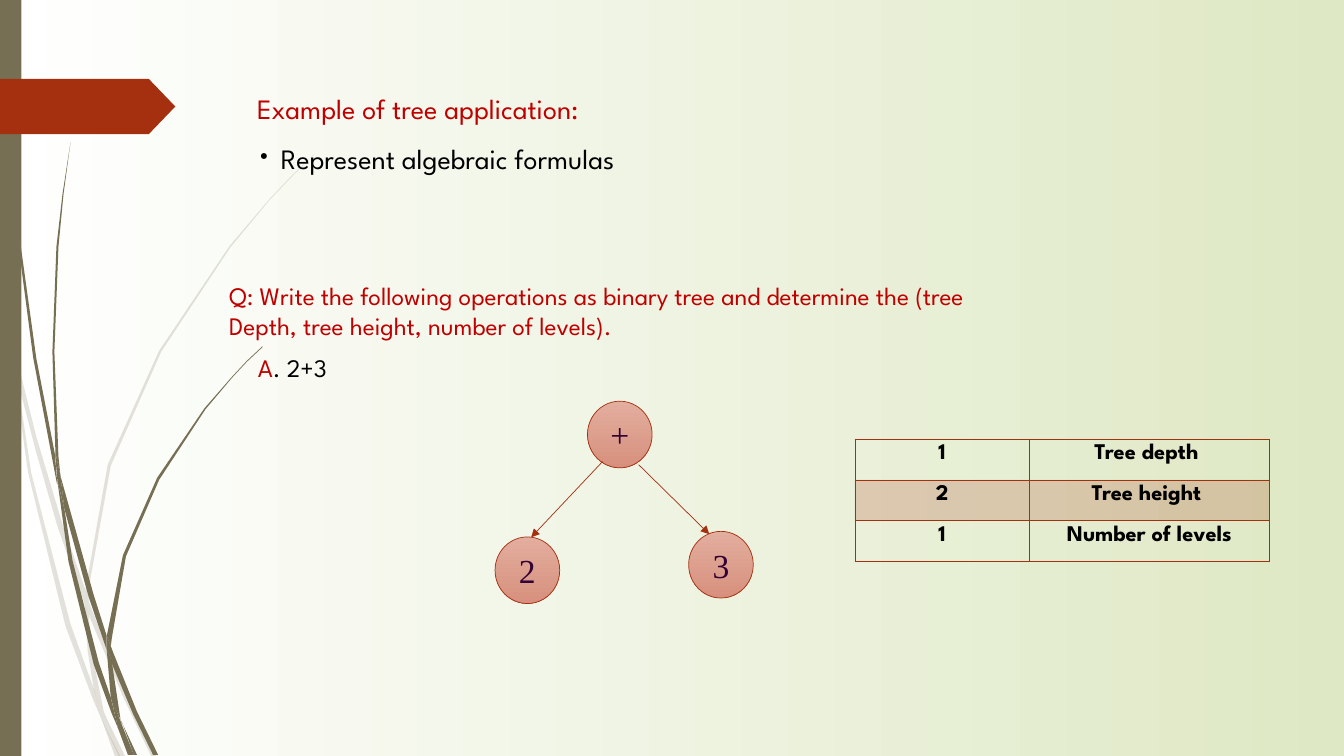
from dataclasses import dataclass

from lxml.etree import SubElement
from pptx import Presentation
from pptx.dml.color import RGBColor
from pptx.enum.shapes import MSO_CONNECTOR as Connector, MSO_SHAPE as Preset
from pptx.enum.text import MSO_ANCHOR as Anchor, MSO_AUTO_SIZE as AutoSize, PP_ALIGN as Align
from pptx.oxml import parse_xml
from pptx.oxml.ns import nsdecls, qn
from pptx.util import Cm, Pt


@dataclass(frozen=True)
class Theme:
    olive: RGBColor = RGBColor.from_string("766F54")
    rust: RGBColor = RGBColor.from_string("A53010")
    heading: RGBColor = RGBColor.from_string("C00000")
    ink: RGBColor = RGBColor.from_string("000000")
    node_ink: RGBColor = RGBColor.from_string("330033")
    node_fill: tuple = (RGBColor.from_string("E3AE9F"), RGBColor.from_string("D7907D"))
    paper: tuple = (RGBColor.from_string("FFFFFF"), RGBColor.from_string("DEE8C4"))
    text_font: str = "League Spartan"
    node_font: str = "Times New Roman"
    heading_size: Pt = Pt(20)
    question_size: Pt = Pt(18)
    table_size: Pt = Pt(16)
    node_size: Pt = Pt(24)
    branch_width: Pt = Pt(0.5)
    border_width: Pt = Pt(0.45)
    tint: int = 20


THEME = Theme()
WISP_UNIT = Cm(2.54) / 100
PALE_WISPS = [
    [(11, 350), (8, 322), (0, 282), (0, 299), (10, 344)],
    [(57, 522), (84, 599), (85, 586), (62, 520), (36, 433), (14, 345), (17, 376), (36, 449)],
    [(92, 607), (88, 596), (88, 610), (123, 693), (150, 750), (155, 750), (127, 691)],
    [(119, 750), (124, 750), (105, 711)],
    [(93, 683), (70, 619), (31, 469), (17, 376), (11, 350), (28, 469), (65, 621), (92, 693),
     (101, 714), (99, 707)],
    [(84, 599), (87, 646), (93, 683), (96, 692), (105, 711), (103, 706), (91, 646), (88, 610),
     (88, 608)],
    [(88, 584), (110, 462), (160, 349), (229, 245), (268, 198), (290, 175), (312, 153), (289, 175),
     (268, 197), (228, 244), (158, 348), (107, 461), (85, 584), (85, 586), (88, 596)],
    [(101, 714), (114, 750), (119, 750)],
    [(88, 608), (88, 610), (88, 596), (85, 586), (84, 599)],
    [(96, 692), (93, 683), (99, 707), (101, 714), (118, 750), (119, 750), (105, 711)],
]
DARK_WISPS = [
    [(7, 110), (17, 233), (33, 355), (56, 477), (57, 481), (55, 457), (55, 453), (36, 355),
     (19, 232), (8, 109), (5, 48), (3, 0), (3, 48)],
    [(88, 592), (106, 645), (106, 633), (106, 631), (93, 590), (60, 472), (64, 505)],
    [(113, 649), (110, 641), (110, 656), (132, 708), (152, 749), (157, 749), (136, 706)],
    [(110, 692), (98, 657), (72, 556), (64, 505), (57, 477), (68, 557), (93, 659), (111, 708),
     (117, 722), (116, 717)],
    [(60, 472), (58, 453), (54, 349), (58, 245), (63, 193), (70, 141), (62, 193), (56, 245),
     (52, 349), (55, 449)],
    [(133, 749), (136, 749), (122, 719)],
    [(57, 477), (64, 505), (60, 472), (55, 449), (55, 453)],
    [(111, 633), (125, 552), (158, 476), (204, 406), (231, 374), (245, 359), (261, 344), (260, 344),
     (245, 358), (231, 373), (203, 405), (156, 474), (122, 551), (106, 631), (110, 641)],
    [(117, 722), (127, 749), (131, 749)],
    [(106, 645), (110, 692), (116, 706), (122, 719), (120, 716), (111, 656), (109, 651)],
    [(106, 645), (109, 651), (111, 656), (110, 641), (106, 631), (106, 633)],
    [(116, 706), (110, 691), (116, 717), (117, 722), (130, 749), (133, 749), (121, 719)],
]
NODES = [("2", 12.48, 13.53), ("3", 17.36, 13.39), ("+", 14.81, 10.11)]
BRANCHES = [(15.19, 11.63, 13.39, 13.54), (16.1, 11.71, 17.88, 13.46)]
MEASURES = [("1", "Tree depth "), ("2", "Tree height "), ("1", "Number of levels")]
QUESTION = ("Q: Write the following operations as binary tree and determine the "
            "(tree Depth, tree height, number of levels).")


def apply(target, values):
    for attribute, value in values.items():
        setattr(target, attribute, value)


def write(frame, runs, font, size, paragraph_format, wrap=True, anchor=Anchor.TOP, bold=False):
    apply(frame, {"word_wrap": wrap, "auto_size": AutoSize.NONE, "vertical_anchor": anchor})
    apply(frame, {f"margin_{side}": Cm(0.1) for side in ("left", "right", "top", "bottom")})
    paragraph = frame.paragraphs[0]
    apply(paragraph, paragraph_format)
    for words, color in runs:
        run = paragraph.add_run()
        run.text = words
        apply(run.font, {"name": font, "size": size, "bold": bold})
        run.font.color.rgb = color
    return paragraph


def paint(part, element, color, tint=None):
    part.fill.solid()
    part.fill.fore_color.rgb = color
    if tint:
        fill_color = element.xpath("./*/a:solidFill/a:srgbClr")[0]
        SubElement(fill_color, qn("a:alpha"), val=str(tint * 1000))


def blend(fill, colors, angle):
    fill.gradient()
    fill.gradient_angle = angle
    for stop, color in zip(fill.gradient_stops, colors):
        stop.color.rgb = color


def finish_decoration(shape, color, tint=None):
    shape.shadow.inherit = False
    shape.line.fill.background()
    paint(shape, shape._element, color, tint)


def add_wisp(slide, outline, tint=None):
    builder = slide.shapes.build_freeform(*outline[0], scale=WISP_UNIT)
    builder.add_line_segments(outline[1:], close=True)
    finish_decoration(builder.convert_to_shape(), THEME.olive, tint)


def add_band(slide, preset, color, *box):
    band = slide.shapes.add_shape(preset, *map(Cm, box))
    finish_decoration(band, color)
    return band


def add_note(slide, runs, box, wrap=True):
    note = slide.shapes.add_textbox(*map(Cm, box))
    write(note.text_frame, runs, THEME.text_font, THEME.question_size,
          {"alignment": Align.LEFT}, wrap)


def add_node(slide, label, left, top):
    node = slide.shapes.add_shape(Preset.OVAL, *map(Cm, (left, top, 1.63, 1.68)))
    node.shadow.inherit = False
    blend(node.fill, THEME.node_fill, 270)
    node.line.color.rgb = THEME.rust
    node.line.width = THEME.branch_width
    write(node.text_frame, [(label, THEME.node_ink)], THEME.node_font, THEME.node_size,
          {"alignment": Align.CENTER}, False, Anchor.MIDDLE)


def add_branch(slide, *ends):
    branch = slide.shapes.add_connector(Connector.STRAIGHT, *map(Cm, ends))
    branch.line.color.rgb = THEME.rust
    branch.line.width = THEME.branch_width
    properties = branch._element.spPr
    SubElement(properties.find(qn("a:ln")), qn("a:tailEnd"), type="triangle")
    SubElement(properties, qn("a:effectLst"))


def add_borders(cell):
    for side in "LRTB":
        cell._tc.get_or_add_tcPr().append(parse_xml(
            f'<a:ln{side} {nsdecls("a")} w="{THEME.border_width}"><a:solidFill>'
            f'<a:srgbClr val="{THEME.rust}"/></a:solidFill></a:ln{side}>'))


def add_measures(slide):
    box = map(Cm, (21.55, 11.06, 10.45, 3.09))
    table = slide.shapes.add_table(len(MEASURES), 2, *box).table
    apply(table, {"first_row": False, "horz_banding": False})
    for column, width in zip(table.columns, (4.4, 6.05)):
        column.width = Cm(width)
    for row, values in enumerate(MEASURES):
        table.rows[row].height = Cm(1.03)
        for column, words in enumerate(values):
            cell = table.cell(row, column)
            write(cell.text_frame, [(words, THEME.ink)], THEME.text_font, THEME.table_size,
                  {"alignment": Align.CENTER}, bold=True)
            apply(cell, {"margin_left": Cm(0.1), "margin_right": Cm(0.1),
                         "margin_top": Cm(0.12), "margin_bottom": Cm(0.12)})
            add_borders(cell)
            if row == 1:
                paint(cell, cell._tc, THEME.rust, THEME.tint)
            else:
                cell.fill.background()


def fill_placeholder(holder, words, color, top):
    apply(holder, {"left": Cm(6.38), "top": Cm(top), "width": Cm(16.99), "height": Cm(1.3)})
    spacing = {"alignment": Align.LEFT, "line_spacing": 1.5, "space_before": Pt(0)}
    return write(holder.text_frame, [(words, color)], THEME.text_font, THEME.heading_size, spacing)


def set_bullet(item, indent):
    properties = item._p.get_or_add_pPr()
    properties.set("marL", str(indent))
    properties.set("indent", str(-indent))
    SubElement(properties, qn("a:buFont"), typeface=THEME.text_font)
    SubElement(properties, qn("a:buChar"), char="•")


def main():
    deck = Presentation()
    apply(deck, {"slide_width": Cm(33.88), "slide_height": Cm(19.05)})
    slide = deck.slides.add_slide(deck.slide_layouts[1])
    blend(slide.background.fill, THEME.paper, 0)
    for wisps, tint in ((PALE_WISPS, THEME.tint), (DARK_WISPS, None)):
        for outline in wisps:
            add_wisp(slide, outline, tint)
    add_band(slide, Preset.RECTANGLE, THEME.olive, 0, 0, 0.54, 19.05)
    banner = add_band(slide, Preset.PENTAGON, THEME.rust, 0, 1.99, 4.42, 1.39)
    banner.adjustments[0] = 0.48
    fill_placeholder(slide.shapes.title, "Example of tree application:", THEME.heading, 1.78)
    item = fill_placeholder(slide.placeholders[1], "Represent algebraic formulas", THEME.ink, 3.04)
    set_bullet(item, Cm(0.6))
    add_note(slide, [(QUESTION, THEME.heading)], (5.68, 6.96, 19.84, 1.75))
    add_note(slide, [("A", THEME.heading), (". 2+3", THEME.ink)], (6.4, 8.78, 2.06, 0.97), False)
    for node in NODES:
        add_node(slide, *node)
    for branch in BRANCHES:
        add_branch(slide, *branch)
    add_measures(slide)
    deck.save("out.pptx")


if __name__ == "__main__":
    main()
